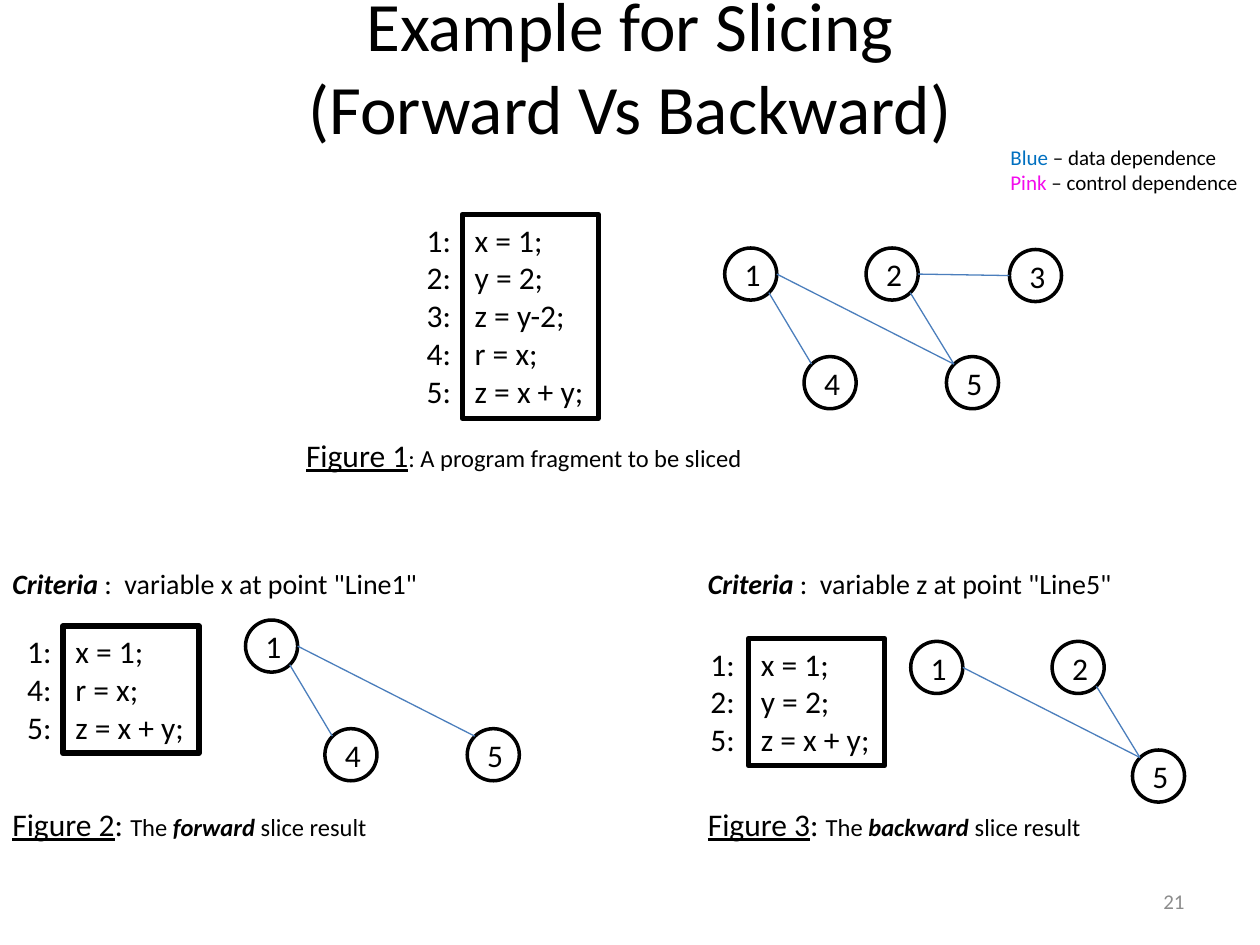
import pptx
import pptx.util
import pptx.dml.color
import pptx.enum.shapes
import pptx.enum.text
import pptx.oxml

Cm, Pt = pptx.util.Cm, pptx.util.Pt
RGBColor = pptx.dml.color.RGBColor
Shape = pptx.enum.shapes.MSO_SHAPE
Align = pptx.enum.text.PP_ALIGN
Anchor = pptx.enum.text.MSO_ANCHOR
Fit = pptx.enum.text.MSO_AUTO_SIZE

BLACK = RGBColor(0, 0, 0)
WHITE = RGBColor(255, 255, 255)
GREY = RGBColor(0x8C, 0x8C, 0x8C)
BLUE = RGBColor(0x00, 0x70, 0xC0)
PINK = RGBColor(0xF3, 0x0B, 0xED)
EDGE = RGBColor(0x4B, 0x7E, 0xBC)

GROW = {"word_wrap": False, "auto_size": Fit.SHAPE_TO_FIT_TEXT, "vertical_anchor": Anchor.TOP}
FIXED = {"word_wrap": True, "auto_size": Fit.NONE, "vertical_anchor": Anchor.MIDDLE}
HEAVY = {"bold": True, "italic": True}
UNDER = {"underline": True}
SMALL = {"size": Pt(14)}

SIZE = 1.05
NODES = {1: (0, 0), 2: (2.85, 0), 3: (5.74, 0.03), 4: (1.6, 2.19), 5: (4.47, 2.19)}
PORTS = {"left": (0, SIZE / 2), "right": (SIZE, SIZE / 2),
         "upper": (0.15, 0.15), "lower": (0.89, 0.9)}
LINKS = [(3, "left", 2, "right"), (4, "upper", 1, "lower"),
         (5, "upper", 2, "lower"), (5, "upper", 1, "right")]
CODE = {1: "x = 1;", 2: "y = 2;", 3: "z = y-2;", 4: "r = x;", 5: "z = x + y;"}


def style(item, form):
    for key, value in form.items():
        setattr(item, key, value)


def write(shape, lines, size, frame=GROW, align=Align.LEFT, color=BLACK):
    text = shape.text_frame
    style(text, frame)
    for num, parts in enumerate(lines):
        para = text.add_paragraph() if num else text.paragraphs[0]
        para.alignment = align
        for words, form in parts:
            run = para.add_run()
            run.text = words
            look = {"name": "Calibri", "size": Pt(size), **form}
            run.font.color.rgb = look.pop("color", color)
            style(run.font, look)


def label(slide, box, lines, size, **form):
    shape = slide.shapes.add_textbox(*map(Cm, box))
    write(shape, lines, size, **form)


def outline(slide, kind, box, width):
    shape = slide.shapes.add_shape(kind, *map(Cm, box))
    shape.shadow.inherit = False
    shape.line.color.rgb = BLACK
    shape.line.width = Pt(width)
    return shape


def title(slide, box):
    head = slide.shapes.title
    style(head, dict(zip(("left", "top", "width", "height"), map(Cm, box))))
    text = head.text_frame
    style(text, FIXED)
    text.text = "Example for Slicing\v(Forward Vs Backward)"
    para = text.paragraphs[0]
    para.alignment = Align.CENTER
    for run in para.runs:
        style(run.font, {"name": "Calibri", "size": Pt(39.6)})
        run.font.color.rgb = BLACK


def legend(slide, box):
    label(slide, box, [[("Blue", {"color": BLUE}), (" – data dependence", {})],
                       [("Pink", {"color": PINK}), (" – control dependence", {})]], 12)


def code(slide, left, top, rows, width, gap):
    high = 0.24 + 0.775 * len(rows)
    label(slide, (left - gap, top, 1.02, high), [[(f"{row}:", {})] for row in rows], 18)
    frame = outline(slide, Shape.RECTANGLE, (left, top, 2.74, high), width)
    frame.fill.background()
    write(frame, [[(CODE[row], {})] for row in rows], 18)


def graph(slide, left, top, nodes):
    def port(node, side):
        return [Cm(base + a + b) for base, a, b in zip((left, top), NODES[node], PORTS[side])]

    for node in nodes:
        x, y = NODES[node]
        ring = outline(slide, Shape.OVAL, (left + x, top + y, SIZE, SIZE), 2)
        ring.fill.solid()
        ring.fill.fore_color.rgb = WHITE
        write(ring, [[(str(node), {})]], 18, FIXED, Align.CENTER)
    for start, side, end, goal in LINKS:
        if start in nodes and end in nodes:
            line = slide.shapes.add_connector(
                pptx.enum.shapes.MSO_CONNECTOR.STRAIGHT, *port(start, side), *port(end, goal))
            line.line.color.rgb = EDGE
            line.line.width = Pt(0.75)
            line._element.spPr.append(pptx.oxml.parse_xml(
                '<a:effectLst xmlns:a="http://schemas.openxmlformats.org/drawingml/2006/main"/>'))


def figure(slide, box, rows, nodes, block, net, note, width=3.25, gap=0.97, goal=None):
    left, top, wide, high = box
    if goal:
        label(slide, (left, top, 8.71, 0.94),
              [[("Criteria", HEAVY), (f" :  variable {goal}", {})]], 16)
    code(slide, left + block[0], top + block[1], rows, width, gap)
    graph(slide, left + net[0], top + net[1], nodes)
    label(slide, (left, top + high - 1.02, wide, 1.02), [note], 18)


def main():
    deck = pptx.Presentation()
    deck.slide_width, deck.slide_height = Cm(25.4), Cm(19.05)
    slide = deck.slides.add_slide(deck.slide_layouts[5])
    title(slide, (1.27, 0.43, 22.86, 1.78))
    legend(slide, (20.12, 2.79, 5.13, 1.27))
    figure(slide, (5.92, 4.32, 9.37, 5.36), (1, 2, 3, 4, 5), (1, 2, 3, 4, 5),
           (3.4, 0), (8.69, 0.68),
           [("Figure 1", UNDER), (": A program fragment to be sliced", SMALL)], width=3)
    figure(slide, (0, 11.3, 7.72, 5.82), (1, 4, 5), (1, 4, 5), (1.27, 1.32), (4.95, 1.2),
           [("Figure 2", UNDER), (": ", {}), ("The ", SMALL),
            ("forward ", {**SMALL, **HEAVY}), ("slice result", SMALL)],
           goal='x at point "Line1"')
    figure(slide, (14.02, 11.3, 8.1, 5.82), (1, 2, 5), (1, 2, 5), (1.07, 1.57), (4.34, 1.63),
           [("Figure 3", UNDER), (": ", {}), ("The ", SMALL),
            ("backward", {**SMALL, **HEAVY}), (" slice result", SMALL)],
           gap=1.02, goal='z at point "Line5"')
    label(slide, (18.21, 17.65, 5.92, 1.02), [[("21", {})]], 12,
          frame=FIXED, align=Align.RIGHT, color=GREY)
    deck.save("out.pptx")


if __name__ == "__main__":
    main()
